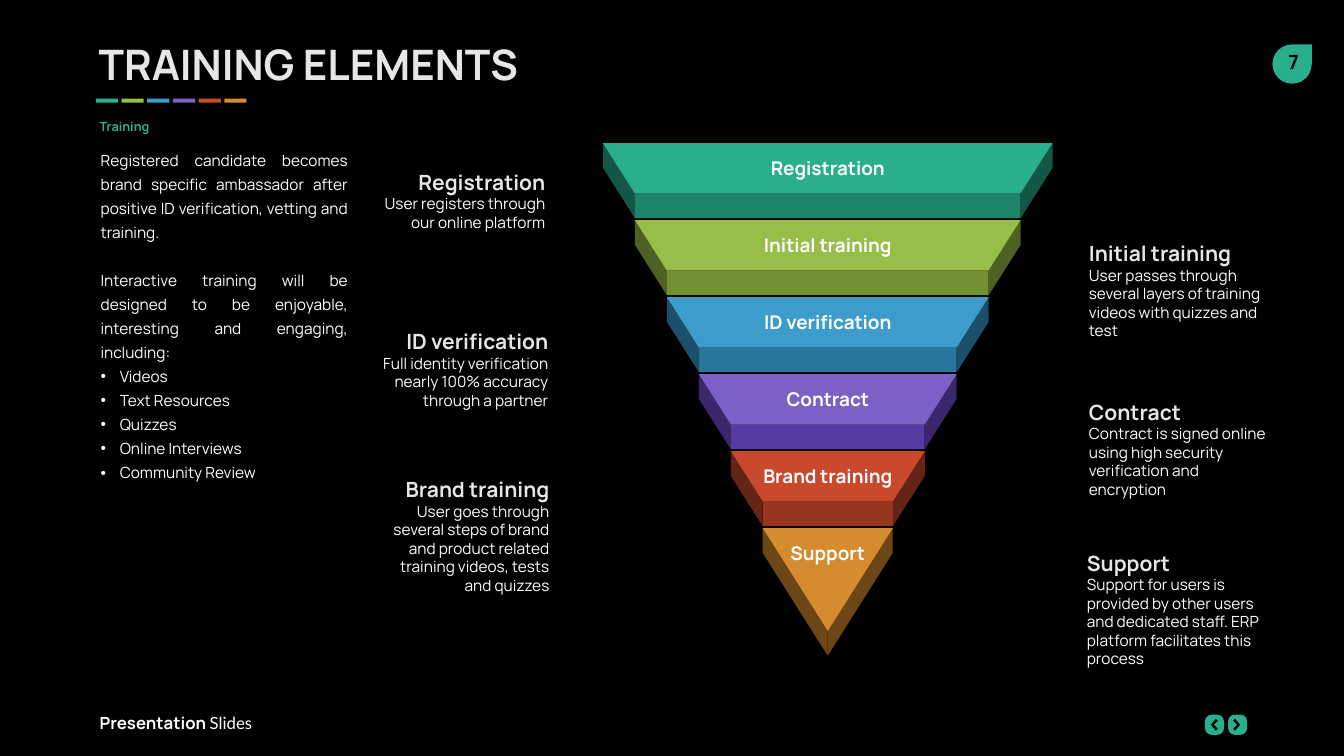
from lxml.etree import SubElement
from pptx import Presentation
from pptx.dml.color import RGBColor
from pptx.enum.shapes import MSO_SHAPE
from pptx.enum.text import PP_ALIGN
from pptx.oxml.ns import qn
from pptx.util import Inches, Pt

COLORS = {
    "background": "000000",
    "text": "FFFFFF",
    "heading": "E7E6E6",
    "accent": "29AF8C",
}

TIERS = [
    ("Registration", {"face": "29AF8C", "front": "1F8369", "side": "155746"}),
    ("Initial training", {"face": "97BE49", "front": "729134", "side": "4C6123"}),
    ("ID verification", {"face": "3D9CCC", "front": "29769D", "side": "1C4F69"}),
    ("Contract", {"face": "7C60C6", "front": "573AA2", "side": "3A276C"}),
    ("Brand training", {"face": "C9492C", "front": "973721", "side": "642416"}),
    ("Support", {"face": "D58C2E", "side": "6C4616"}),
]

CALLOUTS = [
    (3.65, 1.61, 0.69, PP_ALIGN.RIGHT, "Registration",
     "User registers through our online platform"),
    (10.8, 2.32, 1.06, PP_ALIGN.LEFT, "Initial training",
     "User passes through several layers of training videos with quizzes and test"),
    (3.68, 3.19, 0.88, PP_ALIGN.RIGHT, "ID verification",
     "Full identity verification nearly 100% accuracy through a partner"),
    (10.8, 3.89, 1.06, PP_ALIGN.LEFT, "Contract",
     "Contract is signed online using high security verification and encryption"),
    (3.69, 4.66, 1.25, PP_ALIGN.RIGHT, "Brand training",
     "User goes through several steps of brand and product related training videos, "
     "tests and quizzes"),
    (10.78, 5.39, 1.25, PP_ALIGN.LEFT, "Support",
     "Support for users is provided by other users and dedicated staff. ERP platform "
     "facilitates this process"),
]

INTRO = [
    "Registered candidate becomes brand specific ambassador after positive ID "
    "verification, vetting and training.",
    "Interactive training will be designed to be enjoyable, interesting and engaging, "
    "including:",
]
FORMATS = ["Videos", "Text Resources", "Quizzes", "Online Interviews", "Community Review"]

FUNNEL_LEFT, FUNNEL_RIGHT, FUNNEL_TOP = 5.98, 10.44, 1.42
TIER_PITCH, TIER_STEP = 0.764, 0.317
FACE_HEIGHT, DEPTH = 0.5, 0.245
TIP_X, TIP_Y = 8.21, 6.26


def paint(shape, color):
    shape.shadow.inherit = False
    shape.fill.solid()
    shape.fill.fore_color.rgb = RGBColor.from_string(color)
    shape.line.fill.background()


def add_block(slide, kind, left, top, width, height, color):
    block = slide.shapes.add_shape(
        kind, Inches(left), Inches(top), Inches(width), Inches(height))
    paint(block, color)
    return block


def add_polygon(slide, points, color):
    corners = [(Inches(x), Inches(y)) for x, y in points]
    outline = slide.shapes.build_freeform(*corners[0])
    outline.add_line_segments(corners[1:], close=True)
    paint(outline.convert_to_shape(), color)


def style_run(run, size, color, bold=False, font="Manrope"):
    run.font.name = font
    run.font.size = Pt(size)
    run.font.bold = bold
    run.font.color.rgb = RGBColor.from_string(color)


def add_text(slide, box, text, styles, align=PP_ALIGN.LEFT,
             insets=(0.1, 0.05, 0.1, 0.05), wrap=True):
    frame = slide.shapes.add_textbox(*map(Inches, box)).text_frame
    frame.word_wrap = wrap
    (frame.margin_left, frame.margin_top,
     frame.margin_right, frame.margin_bottom) = map(Inches, insets)
    frame.text = text
    for paragraph, style in zip(frame.paragraphs, styles):
        paragraph.alignment = align
        style_run(paragraph.runs[0], *style)
    return frame


def add_bullet(paragraph):
    properties = paragraph._p.get_or_add_pPr()
    properties.set("marL", str(Inches(0.19)))
    properties.set("indent", str(-Inches(0.19)))
    SubElement(properties, qn("a:buFont")).set("typeface", "Arial")
    SubElement(properties, qn("a:buChar")).set("char", "•")


def add_intro(slide):
    lines = INTRO + FORMATS
    frame = add_text(slide, (0.9, 1.4, 2.65, 3.47), "\n".join(lines),
                     [(11, COLORS["text"])] * len(lines), PP_ALIGN.JUSTIFY)
    for paragraph in frame.paragraphs:
        paragraph.line_spacing = 1.3
    frame.paragraphs[1].space_before = Pt(17)
    for paragraph in frame.paragraphs[len(INTRO):]:
        add_bullet(paragraph)


def add_tier(slide, index, label, shades):
    left = FUNNEL_LEFT + index * TIER_STEP
    right = FUNNEL_RIGHT - index * TIER_STEP
    top = FUNNEL_TOP + index * TIER_PITCH
    if "front" in shades:
        inner_left, inner_right = left + TIER_STEP, right - TIER_STEP
        bottom = top + FACE_HEIGHT
        add_block(slide, MSO_SHAPE.RECTANGLE, inner_left, bottom,
                  inner_right - inner_left, DEPTH, shades["front"])
    else:
        inner_left = inner_right = TIP_X
        bottom = TIP_Y
    for outer, inner in ((left, inner_left), (right, inner_right)):
        add_polygon(slide, [(outer, top), (outer, top + DEPTH),
                            (inner, bottom + DEPTH), (inner, bottom)], shades["side"])
    add_polygon(slide, [(left, top), (right, top), (inner_right, bottom),
                        (inner_left, bottom)], shades["face"])
    add_text(slide, (TIP_X - 1.29, top + 0.13, 2.58, 0.28), label,
             [(13.5, COLORS["text"], True)], PP_ALIGN.CENTER, (0.04, 0, 0.04, 0))


def add_callout(slide, left, top, height, align, heading, detail):
    add_text(slide, (left, top, 1.76, height), f"{heading}\n{detail}",
             [(15, COLORS["heading"], True), (11, COLORS["text"])],
             align, (0, 0.07, 0, 0))


def add_nav_button(slide, left, tip, direction):
    button = add_block(slide, MSO_SHAPE.ROUNDED_RECTANGLE, left, 7.09, 0.19, 0.2,
                       COLORS["accent"])
    button.adjustments[0] = 0.35
    arrow = [(0, 0), (0.05, -0.06), (0.07, -0.04), (0.03, 0), (0.07, 0.04), (0.05, 0.06)]
    add_polygon(slide, [(tip + direction * x, 7.19 + y) for x, y in arrow],
                COLORS["background"])


def add_footer(slide):
    frame = add_text(slide, (0.89, 7.02, 2, 0.3), "Presentation ",
                     [(12, COLORS["text"], True)])
    suffix = frame.paragraphs[0].add_run()
    suffix.text = "Slides"
    style_run(suffix, 12, COLORS["text"], font="Lato")
    add_nav_button(slide, 11.95, 12.01, 1)
    add_nav_button(slide, 12.18, 12.3, -1)


def add_header(slide):
    add_text(slide, (0.88, 0.33, 6.76, 0.61), "TRAINING ELEMENTS",
             [(30, COLORS["heading"], True)])
    add_text(slide, (0.89, 1.13, 4.15, 0.25), "Training", [(9, COLORS["accent"], True)])
    for index, (_, shades) in enumerate(TIERS):
        add_block(slide, MSO_SHAPE.RECTANGLE, 0.95 + index * 0.255, 0.98, 0.22, 0.04,
                  shades["face"])
    add_block(slide, MSO_SHAPE.TEAR, 12.62, 0.44, 0.39, 0.39, COLORS["accent"])
    add_text(slide, (12.59, 0.45, 0.48, 0.34), "7",
             [(14, COLORS["background"], True)], PP_ALIGN.CENTER, wrap=False)


def main():
    deck = Presentation()
    deck.slide_width, deck.slide_height = Inches(13.33), Inches(7.5)
    slide = deck.slides.add_slide(deck.slide_layouts[6])
    slide.background.fill.solid()
    slide.background.fill.fore_color.rgb = RGBColor.from_string(COLORS["background"])
    add_footer(slide)
    add_header(slide)
    add_intro(slide)
    for index, (label, shades) in enumerate(TIERS):
        add_tier(slide, index, label, shades)
    for callout in CALLOUTS:
        add_callout(slide, *callout)
    deck.save("out.pptx")


if __name__ == "__main__":
    main()
